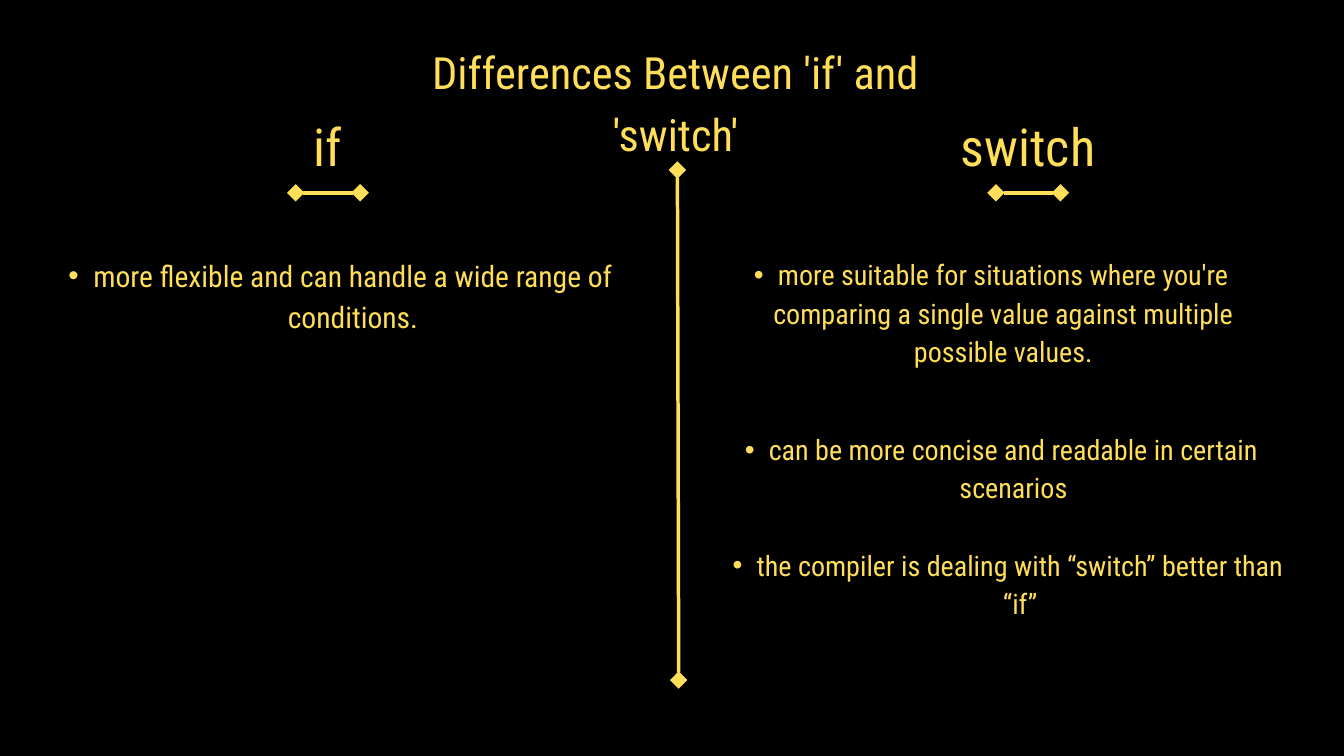
from lxml import etree
from pptx import Presentation
from pptx import util as u
from pptx.dml.color import RGBColor
from pptx.enum import shapes, text
from pptx.oxml import ns

Pt = u.Pt
HUES = {"back": "000000", "gold": "FFDE59"}
FACE = "Roboto Condensed"


def hue(name):
    """Return the named colour."""
    return RGBColor.from_string(HUES[name])


def apply(thing, vals):
    """Set each attribute of thing from a dict."""
    for key, val in vals.items():
        setattr(thing, key, val)


def write(shape, box, words, size, lead, hang=None):
    """Place a text shape and format its one paragraph, bulleted if hang is given."""
    apply(shape, dict(zip(("left", "top", "width", "height"), map(Pt, box))))
    frame = shape.text_frame
    apply(frame, {
        "margin_left": 0, "margin_top": 0, "margin_right": 0, "margin_bottom": 0,
        "word_wrap": True, "vertical_anchor": text.MSO_ANCHOR.TOP,
        "auto_size": text.MSO_AUTO_SIZE.SHAPE_TO_FIT_TEXT,
    })
    para = frame.paragraphs[0]
    apply(para, {"alignment": text.PP_ALIGN.CENTER, "line_spacing": Pt(lead),
                 "space_before": Pt(0), "space_after": Pt(0)})
    run = para.add_run()
    apply(run, {"text": words})
    apply(run.font, {"name": FACE, "size": Pt(size), "bold": False})
    run.font.color.rgb = hue("gold")
    if hang:
        para.level = 1
        props = para._p.get_or_add_pPr()
        props.set("marL", str(Pt(2 * hang)))
        props.set("indent", str(-Pt(hang)))
        etree.SubElement(props, ns.qn("a:buFont")).set("typeface", "Arial")
        etree.SubElement(props, ns.qn("a:buChar")).set("char", "•")


def rule(slide, start, end):
    """Draw a gold line with a diamond at each end."""
    line = slide.shapes.add_connector(
        shapes.MSO_CONNECTOR.STRAIGHT, *map(Pt, start + end))
    line.line.color.rgb = hue("gold")
    line.line.width = Pt(3.75)
    props = line._element.spPr
    for tag in ("a:headEnd", "a:tailEnd"):
        tip = etree.SubElement(props.find(ns.qn("a:ln")), ns.qn(tag))
        for key, val in {"type": "diamond", "w": "lg", "len": "lg"}.items():
            tip.set(key, val)
    etree.SubElement(props, ns.qn("a:effectLst"))


def column(slide, box, holds, head, shift, items, style):
    """Fill a column with a heading, its short rule and its bulleted points."""
    left, top, width = box
    mid = left + shift
    write(holds[0], (mid, top, 211.7, 76.3), head, 55.9, 78.2)
    rule(slide, (mid + 140.4, top + 95.7), (mid + 71.3, top + 95.7))
    for num, (right, down, tall, words) in enumerate(items):
        shape = slide.shapes.add_textbox(0, 0, 0, 0) if num else holds[1]
        write(shape, (left + right, top + down, width, tall), words, **style)


def main():
    """Build and save the comparison slide."""
    deck = Presentation()
    apply(deck, {"slide_width": Pt(1440), "slide_height": Pt(810)})
    slide = deck.slides.add_slide(deck.slide_layouts[4])
    fill = slide.background.fill
    fill.solid()
    fill.fore_color.rgb = hue("back")
    holds = slide.placeholders

    write(slide.shapes.title, (432, 38.9, 583.9, 133.4),
          "Differences Between 'if' and 'switch'", 47.6, 66.7)
    rule(slide, (727.2, 728.6), (725.8, 182.2))
    column(slide, (20.9, 110.9, 661), (holds[1], holds[2]), "if", 224.6, [
        (0, 159.1, 88.8, "more flexible and can handle a wide range of conditions."),
    ], {"size": 31.7, "lead": 44.4, "hang": 26.8})
    column(slide, (739.4, 110.9, 619.9), (holds[3], holds[4]), "switch", 256.4, [
        (0, 160.5, 123, "more suitable for situations where you're comparing "
         "a single value against multiple possible values."),
        (10.8, 347.7, 82, "can be more concise and readable in certain scenarios"),
        (18, 471.6, 82, "the compiler is dealing with “switch” better than “if”"),
    ], {"size": 30.1, "lead": 41, "hang": 25.7})
    deck.save("out.pptx")


if __name__ == "__main__":
    main()
